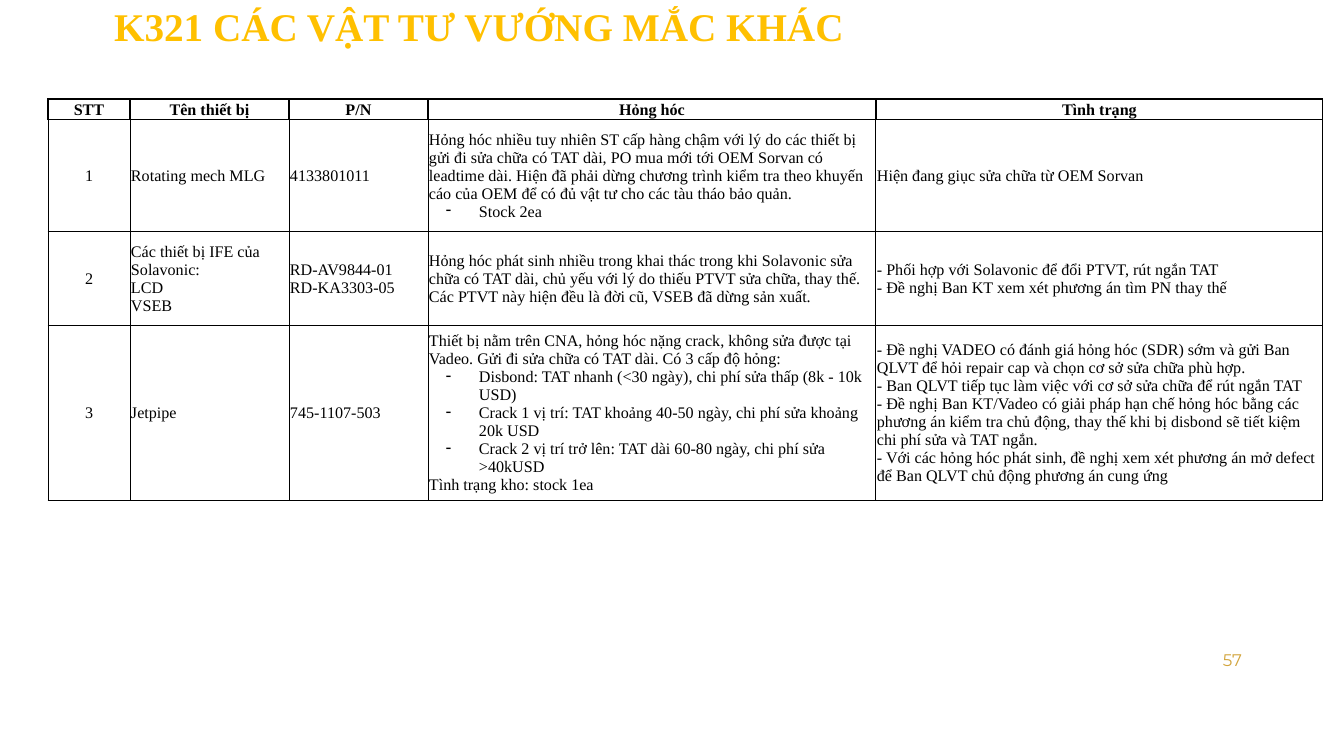
from collections import namedtuple

from lxml import etree
from pptx import Presentation
from pptx import util as u
from pptx.dml.color import RGBColor
from pptx.enum import text
from pptx.oxml.ns import qn

SCALE = 12192000 / 1344
COLORS = {"title": "FFC000", "number": "D2A43B", "ink": "000000"}
SERIF = "Times New Roman"
CELL_FORMAT = {"size": u.Pt(11.5), "name": SERIF, "bold": False}
HEADER_FORMAT = {**CELL_FORMAT, "bold": True}
COLUMNS = [82, 159, 139, 448, 447]
ROWS = [22, 19, 112, 94, 162]
Bullet = namedtuple("Bullet", "label")

HEADERS = ["STT", "Tên thiết bị", "P/N", "Hỏng hóc", "Tình trạng"]
ITEMS = [
    [
        ["1"],
        ["Rotating mech MLG"],
        ["4133801011"],
        [
            "Hỏng hóc nhiều tuy nhiên ST cấp hàng chậm với lý do các thiết bị gửi đi sửa chữa có TAT dài, "
            "PO mua mới tới OEM Sorvan có leadtime dài. Hiện đã phải dừng chương trình kiểm tra theo khuyến "
            "cáo của OEM để có đủ vật tư cho các tàu tháo bảo quản.",
            Bullet("Stock 2ea"),
        ],
        ["Hiện đang giục sửa chữa từ OEM Sorvan"],
    ],
    [
        ["2"],
        ["Các thiết bị IFE của Solavonic:", "LCD", "VSEB"],
        ["RD-AV9844-01", "RD-KA3303-05"],
        [
            "Hỏng hóc phát sinh nhiều trong khai thác trong khi Solavonic sửa chữa có TAT dài, chủ yếu với "
            "lý do thiếu PTVT sửa chữa, thay thế. Các PTVT này hiện đều là đời cũ, VSEB đã dừng sản xuất."
        ],
        [
            "- Phối hợp với Solavonic để đổi PTVT, rút ngắn TAT",
            "- Đề nghị Ban KT xem xét phương án tìm PN thay thế",
        ],
    ],
    [
        ["3"],
        ["Jetpipe"],
        ["745-1107-503"],
        [
            "Thiết bị nằm trên CNA, hỏng hóc nặng crack, không sửa được tại Vadeo. "
            "Gửi đi sửa chữa có TAT dài. Có 3 cấp độ hỏng:",
            Bullet("Disbond: TAT nhanh (<30 ngày), chi phí sửa thấp (8k - 10k USD)"),
            Bullet("Crack 1 vị trí: TAT khoảng 40-50 ngày, chi phí sửa khoảng 20k USD"),
            Bullet("Crack 2 vị trí trở lên: TAT dài 60-80 ngày, chi phí sửa >40kUSD"),
            "Tình trạng kho: stock 1ea",
        ],
        [
            "- Đề nghị VADEO có đánh giá hỏng hóc (SDR) sớm và gửi Ban QLVT để hỏi repair cap "
            "và chọn cơ sở sửa chữa phù hợp.",
            "- Ban QLVT tiếp tục làm việc với cơ sở sửa chữa để rút ngắn TAT",
            "- Đề nghị Ban KT/Vadeo có giải pháp hạn chế hỏng hóc bằng các phương án kiểm tra chủ động, "
            "thay thế khi bị disbond sẽ tiết kiệm chi phí sửa và TAT ngắn.",
            "- Với các hỏng hóc phát sinh, đề nghị xem xét phương án mở defect "
            "để Ban QLVT chủ động phương án cung ứng",
        ],
    ],
]


def px(length):
    return u.Emu(round(length * SCALE))


def apply(target, values):
    for name, value in values.items():
        setattr(target, name, value)


def write(para, label, color, values):
    span = para.add_run()
    span.text = label
    apply(span.font, values)
    span.font.color.rgb = RGBColor.from_string(COLORS[color])


def add_color(parent, tag):
    holder = etree.SubElement(parent, qn(tag))
    etree.SubElement(holder, qn("a:srgbClr"), val=COLORS["ink"])


def add_dash(para):
    props = para._p.get_or_add_pPr()
    props.set("marL", str(px(50)))
    props.set("indent", str(px(-33)))
    add_color(props, "a:buClr")
    etree.SubElement(props, qn("a:buChar"), char="-")


def add_borders(cell, widths):
    props = cell._tc.get_or_add_tcPr()
    for index, (side, width) in enumerate(widths.items()):
        line = etree.Element(qn(f"a:ln{side}"), w=str(u.Pt(width)))
        add_color(line, "a:solidFill")
        props.insert(index, line)


def format_cell(cell, widths):
    apply(cell, {
        "margin_left": px(1), "margin_right": px(1), "margin_top": px(1), "margin_bottom": 0,
        "vertical_anchor": text.MSO_ANCHOR.MIDDLE,
    })
    cell.fill.background()
    add_borders(cell, widths)


def fill_cell(cell, entries, values, centred):
    for index, entry in enumerate(entries):
        para = cell.text_frame.add_paragraph() if index else cell.text_frame.paragraphs[0]
        para.alignment = text.PP_ALIGN.CENTER if centred else text.PP_ALIGN.LEFT
        if isinstance(entry, Bullet):
            add_dash(para)
            entry = entry.label
        write(para, entry, "ink", values)


def add_title(page, label):
    title = page.shapes.title
    apply(title, {"left": px(104), "top": px(-11), "width": px(1175), "height": px(79)})
    apply(title.text_frame, {
        "vertical_anchor": text.MSO_ANCHOR.MIDDLE, "word_wrap": True, "auto_size": text.MSO_AUTO_SIZE.NONE,
    })
    para = title.text_frame.paragraphs[0]
    apply(para, {"alignment": text.PP_ALIGN.LEFT, "line_spacing": 0.9})
    write(para, label, "title", {"size": u.Pt(28), "name": SERIF, "bold": True})


def add_page_number(page, label):
    box = page.shapes.add_textbox(px(950), px(640), px(302), px(40))
    apply(box.text_frame, {"vertical_anchor": text.MSO_ANCHOR.MIDDLE, "word_wrap": True})
    para = box.text_frame.paragraphs[0]
    para.alignment = text.PP_ALIGN.RIGHT
    write(para, label, "number", {"size": u.Pt(12), "name": "Montserrat"})


def add_parts_table(page):
    frame = page.shapes.add_table(
        len(ROWS), len(COLUMNS), px(48), px(77), px(sum(COLUMNS)), px(sum(ROWS)))
    table = frame.table
    apply(table, {"first_row": False, "horz_banding": False})
    for column, width in zip(table.columns, COLUMNS):
        column.width = px(width)
    for row, height in zip(table.rows, ROWS):
        row.height = px(height)
    for cell in table.rows[0].cells:
        format_cell(cell, {"B": 1})
        etree.SubElement(cell.text_frame.paragraphs[0]._p, qn("a:endParaRPr"), sz="1150")
    table.cell(0, 0).merge(table.cell(0, len(COLUMNS) - 1))
    for index, label in enumerate(HEADERS):
        cell = table.cell(1, index)
        format_cell(cell, dict.fromkeys("LRTB", 1))
        fill_cell(cell, [label], HEADER_FORMAT, True)
    for number, item in enumerate(ITEMS, 2):
        widths = {**dict.fromkeys("LRTB", 0.75), "T": 1 if number == 2 else 0.75}
        for index, entries in enumerate(item):
            cell = table.cell(number, index)
            format_cell(cell, widths)
            fill_cell(cell, entries, CELL_FORMAT, index == 0)


def main():
    """Build the slide listing the parts with supply problems."""
    deck = Presentation()
    apply(deck, {"slide_width": px(1344), "slide_height": px(756)})
    page = deck.slides.add_slide(deck.slide_layouts[5])
    add_title(page, "K321 CÁC VẬT TƯ VƯỚNG MẮC KHÁC")
    add_page_number(page, "57")
    add_parts_table(page)
    deck.save("out.pptx")


if __name__ == "__main__":
    main()
